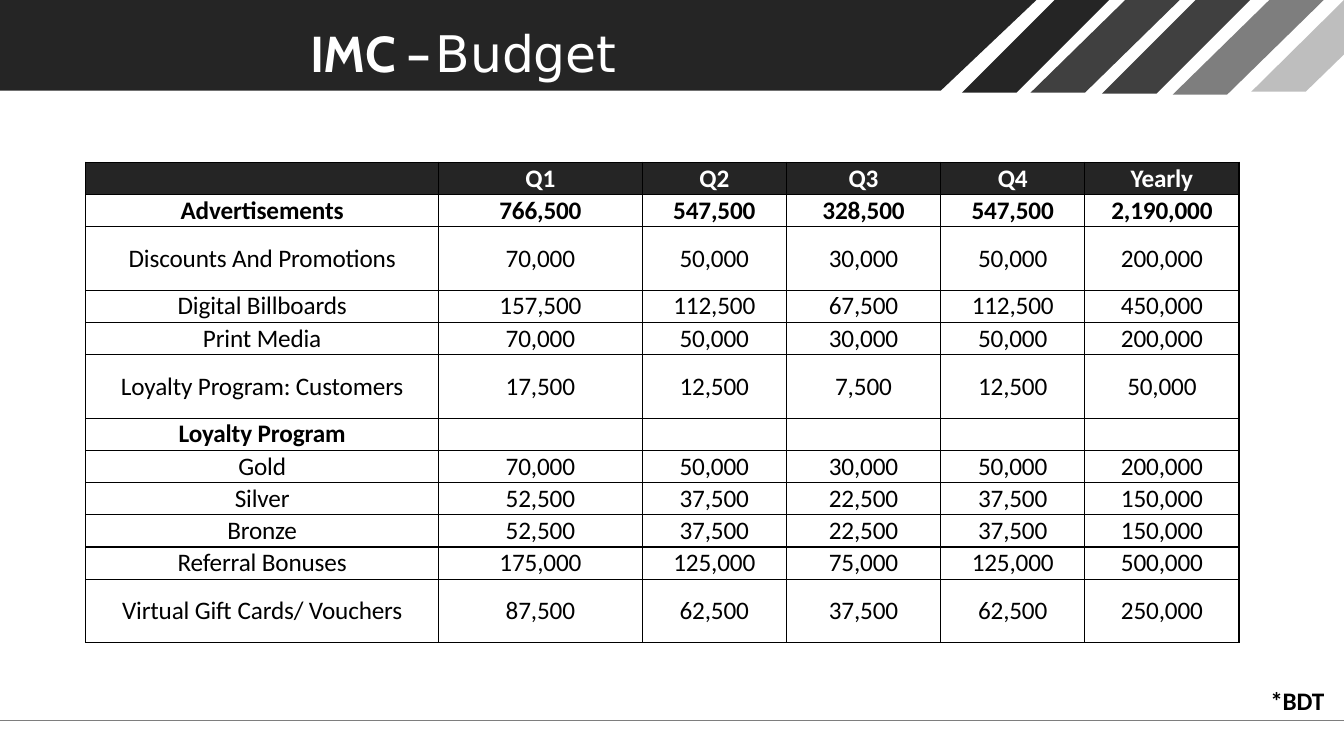
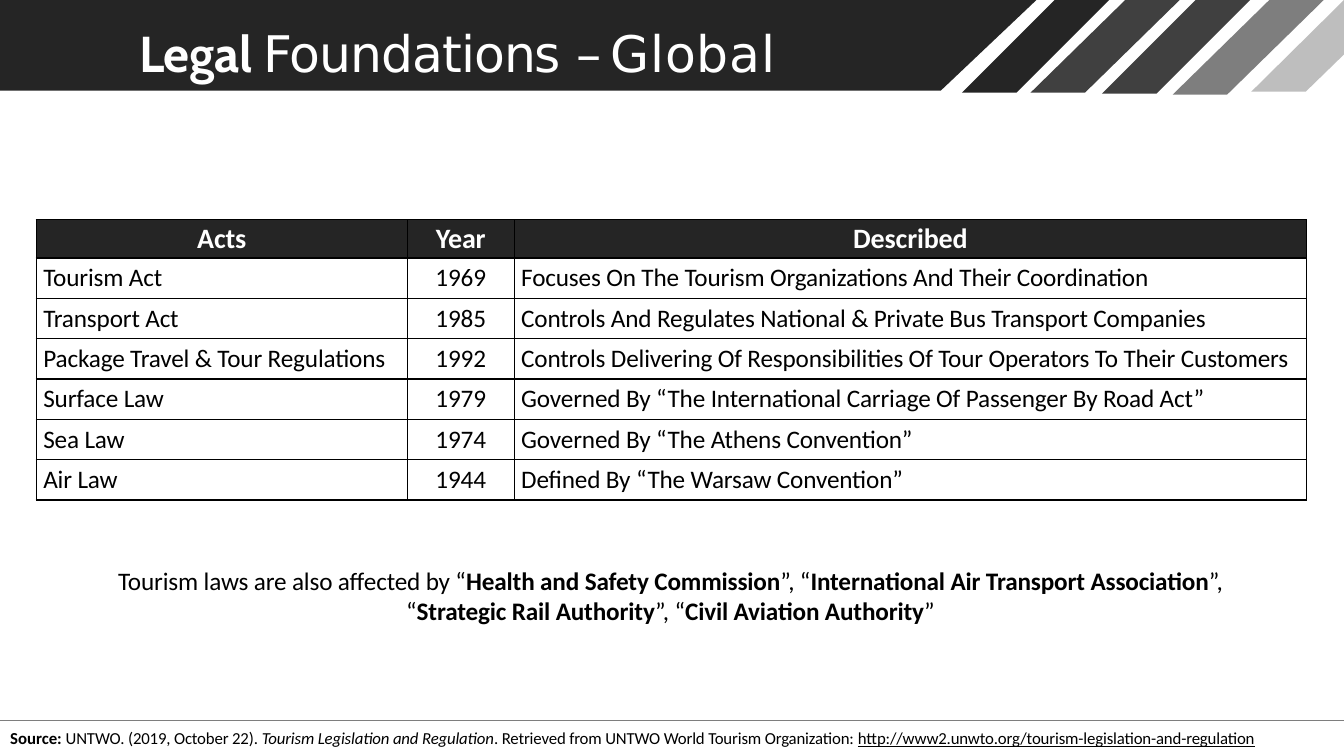
from dataclasses import dataclass
from typing import Optional

from lxml.etree import SubElement as add_element
from pptx import Presentation
from pptx.dml.color import RGBColor
from pptx.enum.shapes import MSO_CONNECTOR as Connector
from pptx.enum.text import MSO_ANCHOR as Anchor, PP_ALIGN as Align
from pptx.oxml.ns import qn
from pptx.util import Inches, Pt

COLOURS = {
    "black": "000000",
    "white": "FFFFFF",
    "band": "252525",
    "dark": "404040",
    "middle": "7E7E7E",
    "light": "BEBEBE",
}
BODY_FONT, TITLE_BOLD_FONT, TITLE_FONT = "Calibri", "Cabin", "DejaVu Sans"
SLIDE_WIDTH, SLIDE_HEIGHT = 13.33, 7.5
RULE_TOP = 7.15
STRIPE_WIDTH = 0.54

# Share of the yearly budget spent in each quarter, in percent
QUARTER_SHARES = (35, 25, 15, 25)


@dataclass
class Span:
    text: str
    bold: bool = False
    italic: bool = False
    underline: bool = False
    font: str = BODY_FONT
    spacing: float = -0.1


@dataclass
class Style:
    size: float
    colour: str = "black"
    align: Align = Align.LEFT
    line_points: Optional[float] = None


@dataclass
class Stripe:
    top_left: float
    bottom_left: float
    depth: float
    colour: str


@dataclass
class BudgetLine:
    label: str
    yearly: Optional[int]
    bold: bool = False
    tall: bool = False


@dataclass
class Grid:
    left: float
    top: float
    widths: list[float]
    heights: list[float]
    header_size: float
    left_columns: tuple[int, ...] = ()
    bold_rows: tuple[int, ...] = ()


STRIPES = [
    Stripe(10.46, 9.54, 0.92, "band"),
    Stripe(11.16, 10.22, 0.92, "dark"),
    Stripe(11.86, 10.93, 0.93, "dark"),
    Stripe(12.59, 11.63, 0.94, "middle"),
]

BUDGET = [
    BudgetLine("Advertisements", 2_190_000, bold=True),
    BudgetLine("Discounts And Promotions", 200_000, tall=True),
    BudgetLine("Digital Billboards", 450_000),
    BudgetLine("Print Media", 200_000),
    BudgetLine("Loyalty Program: Customers", 50_000, tall=True),
    BudgetLine("Loyalty Program", None, bold=True),
    BudgetLine("Gold", 200_000),
    BudgetLine("Silver", 150_000),
    BudgetLine("Bronze", 150_000),
    BudgetLine("Referral Bonuses", 500_000),
    BudgetLine("Virtual Gift Cards/ Vouchers", 250_000, tall=True),
]

ACTS = [
    ["Acts", "Year", "Described"],
    ["Tourism Act", "1969", "Focuses On The Tourism Organizations And Their Coordination"],
    ["Transport Act", "1985", "Controls And Regulates National & Private Bus Transport Companies"],
    ["Package Travel & Tour Regulations", "1992",
     "Controls Delivering Of Responsibilities Of Tour Operators To Their Customers"],
    ["Surface Law", "1979", "Governed By “The International Carriage Of Passenger By Road Act”"],
    ["Sea Law", "1974", "Governed By “The Athens Convention”"],
    ["Air Law", "1944", "Defined By “The Warsaw Convention”"],
]


def rgb(name: str) -> RGBColor:
    return RGBColor.from_string(COLOURS[name])


def format_run(run, span: Span, style: Style) -> None:
    font = run.font
    font.name, font.size = span.font, Pt(style.size)
    font.bold, font.italic, font.underline = span.bold, span.italic, span.underline
    font.color.rgb = rgb(style.colour)
    run._r.get_or_add_rPr().set("spc", str(round(span.spacing * 100)))


def add_text(page, left: float, top: float, width: float, height: float,
             spans: list[Span], style: Style) -> None:
    box = page.shapes.add_textbox(Inches(left), Inches(top), Inches(width), Inches(height))
    frame = box.text_frame
    frame.word_wrap = True
    frame.margin_left = frame.margin_right = frame.margin_top = frame.margin_bottom = 0
    para = frame.paragraphs[0]
    para.alignment = style.align
    if style.line_points:
        para.line_spacing = Pt(style.line_points)
    for span in spans:
        run = para.add_run()
        run.text = span.text
        format_run(run, span, style)


def add_outline(page, points: list[tuple[float, float]], colour: str) -> None:
    start, *others = [(Inches(x), Inches(y)) for x, y in points]
    builder = page.shapes.build_freeform(*start)
    builder.add_line_segments(others, close=True)
    shape = builder.convert_to_shape()
    shape.shadow.inherit = False
    shape.fill.solid()
    shape.fill.fore_color.rgb = rgb(colour)
    shape.line.fill.background()


def add_page(deck, title: list[Span], title_left: float):
    """Add a slide with the title band, stripes and footer rule."""
    page = deck.slides.add_slide(deck.slide_layouts[6])
    add_outline(page, [(0, 0), (10.28, 0), (9.33, 0.9), (0, 0.9)], "band")
    for stripe in STRIPES:
        add_outline(page, [
            (stripe.top_left, 0),
            (stripe.top_left + STRIPE_WIDTH, 0),
            (stripe.bottom_left + STRIPE_WIDTH, stripe.depth),
            (stripe.bottom_left, stripe.depth),
        ], stripe.colour)
    # The last stripe is cut off by the slide edge
    add_outline(page, [(SLIDE_WIDTH, 0), (12.41, 0.91), (12.95, 0.91),
                       (SLIDE_WIDTH, 0.54)], "light")
    add_text(page, title_left, 0.22, 8.82 - title_left, 0.63, title, Style(36, "white"))

    rule = page.shapes.add_connector(Connector.STRAIGHT, 0, Inches(RULE_TOP),
                                     Inches(SLIDE_WIDTH), Inches(RULE_TOP))
    rule.line.color.rgb = rgb("middle")
    rule.line.width = Pt(0.72)
    add_element(rule._element.spPr, qn("a:effectLst"))
    return page


def add_borders(cell) -> None:
    properties = cell._tc.get_or_add_tcPr()
    for side in ("lnL", "lnR", "lnT", "lnB"):
        line = add_element(properties, qn(f"a:{side}"), w=str(Pt(1)))
        fill = add_element(line, qn("a:solidFill"))
        add_element(fill, qn("a:srgbClr"), val=COLOURS["black"])


def add_grid(page, grid: Grid, rows: list[list[str]]) -> None:
    """Add a bordered table with a dark header row."""
    table = page.shapes.add_table(
        len(rows), len(grid.widths), Inches(grid.left), Inches(grid.top),
        Inches(sum(grid.widths)), Inches(sum(grid.heights))).table
    table.first_row = table.horz_banding = False
    for column, width in zip(table.columns, grid.widths):
        column.width = Inches(width)
    for row, height in zip(table.rows, grid.heights):
        row.height = Inches(height)

    for row_index, row in enumerate(rows):
        header = row_index == 0
        bold = header or row_index in grid.bold_rows
        style = Style(grid.header_size, "white") if header else Style(18)
        for column_index, text in enumerate(row):
            cell = table.cell(row_index, column_index)
            to_left = not header and column_index in grid.left_columns
            cell.margin_left = Inches(0.07 if to_left else 0)
            cell.margin_right = cell.margin_top = cell.margin_bottom = 0
            cell.vertical_anchor = Anchor.MIDDLE
            add_borders(cell)
            if header:
                cell.fill.solid()
                cell.fill.fore_color.rgb = rgb("band")
            else:
                cell.fill.background()
            cell.text = text
            para = cell.text_frame.paragraphs[0]
            para.alignment = Align.LEFT if to_left else Align.CENTER
            for run in para.runs:
                format_run(run, Span(text, bold=bold), style)


def budget_row(line: BudgetLine) -> list[str]:
    if line.yearly is None:
        return [line.label] + [""] * (len(QUARTER_SHARES) + 1)
    amounts = [line.yearly * share // 100 for share in QUARTER_SHARES] + [line.yearly]
    return [line.label] + [f"{amount:,}" for amount in amounts]


def add_budget_page(deck) -> None:
    page = add_page(deck, [
        Span("IMC ", bold=True, font=TITLE_BOLD_FONT, spacing=-0.4),
        Span("– ", bold=True, font=TITLE_BOLD_FONT, spacing=-5),
        Span("Budget", font=TITLE_FONT),
    ], title_left=3.08)
    grid = Grid(
        0.85, 1.61,
        widths=[3.5, 2.02, 1.43, 1.53, 1.43, 1.53],
        heights=[0.32] + [0.63 if line.tall else 0.32 for line in BUDGET],
        header_size=18,
        bold_rows=tuple(index for index, line in enumerate(BUDGET, 1) if line.bold),
    )
    header = ["", "Q1", "Q2", "Q3", "Q4", "Yearly"]
    add_grid(page, grid, [header] + [budget_row(line) for line in BUDGET])
    add_text(page, 12.6, 6.8, 0.6, 0.31, [Span("*BDT", bold=True, spacing=-0.2)], Style(18))


def add_legal_page(deck) -> None:
    page = add_page(deck, [
        Span("Legal ", bold=True, font=TITLE_BOLD_FONT, spacing=-0.2),
        Span("Foundations ", font=TITLE_FONT, spacing=-0.7),
        Span("– ", font=TITLE_FONT, spacing=-5),
        Span("Global", font=TITLE_FONT, spacing=0.6),
    ], title_left=1.38)
    grid = Grid(0.36, 2.18, widths=[3.68, 1.06, 7.86], heights=[0.38] + [0.4] * 6,
                header_size=20, left_columns=(0, 2))
    add_grid(page, grid, ACTS)

    # Bodies that also shape the law
    add_text(page, 1.08, 5.61, 11.14, 0.61, [
        Span("Tourism laws are also affected by “"),
        Span("Health and Safety Commission", bold=True),
        Span("”, “"),
        Span("International Air Transport Association", bold=True),
        Span("”, “"),
        Span("Strategic Rail Authority", bold=True),
        Span("”, “"),
        Span("Civil Aviation Authority", bold=True),
        Span("”"),
    ], Style(18, align=Align.CENTER))

    # Source line
    add_text(page, 0.1, 7.25, 12.62, 0.19, [
        Span("Source: ", bold=True, spacing=0),
        Span("UNTWO. (2019, October 22). "),
        Span("Tourism Legislation and Regulation", italic=True),
        Span(". Retrieved from UNTWO World Tourism Organization: "),
        Span("http://www2.unwto.org/tourism-legislation-and-regulation", underline=True),
    ], Style(12, line_points=12.4))


def main() -> None:
    deck = Presentation()
    deck.slide_width, deck.slide_height = Inches(SLIDE_WIDTH), Inches(SLIDE_HEIGHT)
    add_budget_page(deck)
    add_legal_page(deck)
    deck.save("out.pptx")


if __name__ == "__main__":
    main()
